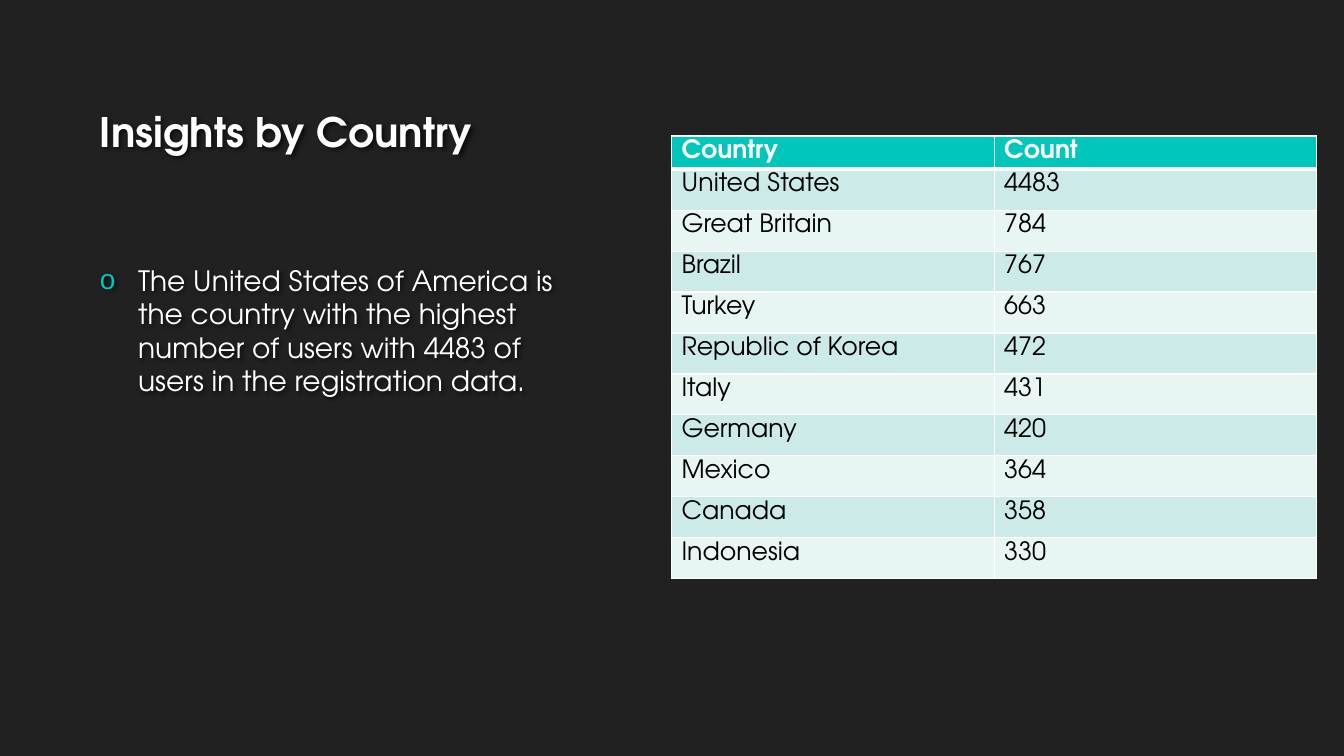
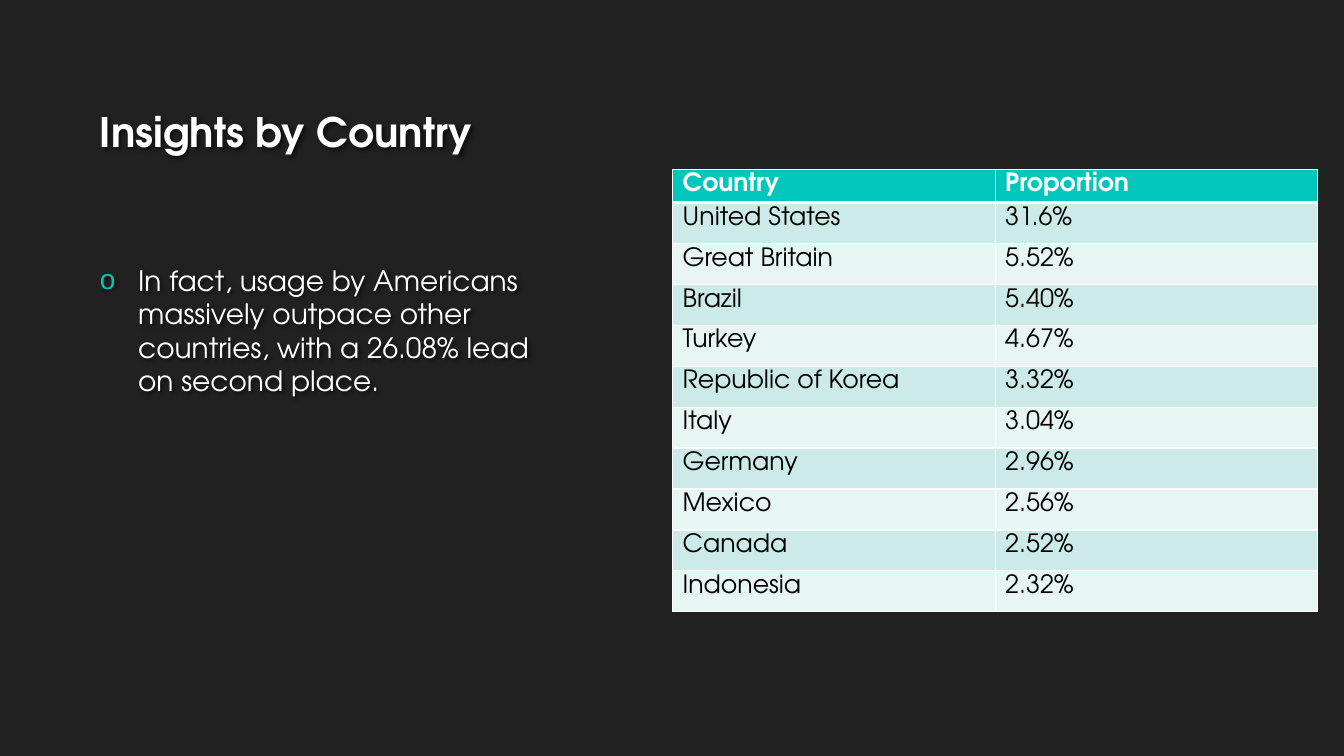
"""Build two slides that rank countries by registered users."""
from dataclasses import dataclass

from lxml.etree import SubElement
from pptx import Presentation
from pptx.dml.color import RGBColor
from pptx.enum.text import MSO_ANCHOR as Anchor, MSO_AUTO_SIZE as AutoSize, PP_ALIGN as Align
from pptx.oxml.ns import qn
from pptx.presentation import Presentation as Deck
from pptx.shapes.placeholder import SlidePlaceholder as Placeholder
from pptx.slide import Slide
from pptx.table import _Cell as Cell
from pptx.text.text import _Paragraph as Paragraph
from pptx.util import Inches, Pt

DARK = RGBColor(0x21, 0x21, 0x21)
OFF_WHITE = RGBColor(0xFE, 0xFE, 0xFE)
WHITE = RGBColor(0xFF, 0xFF, 0xFF)
BLACK = RGBColor(0x00, 0x00, 0x00)
TEAL = RGBColor(0x00, 0xC6, 0xBB)
BANDS = (RGBColor(0xCC, 0xEA, 0xE7), RGBColor(0xE7, 0xF5, 0xF3))

FONT = "TeX Gyre Adventor"
TITLE = "Insights by Country"
TEXT_LEFT, TEXT_WIDTH = Inches(0.89), Inches(4.88)
COLUMN_WIDTH = Inches(3.2)
HEADER_HEIGHT, ROWS_HEIGHT = Inches(0.33), Inches(4.06)
COUNTRIES = (
    "United States", "Great Britain", "Brazil", "Turkey", "Republic of Korea",
    "Italy", "Germany", "Mexico", "Canada", "Indonesia",
)


@dataclass(frozen=True)
class Insight:
    """One slide: its finding and the measure listed for each country."""

    finding: str
    measure: str
    values: tuple[str, ...]
    table_left: float
    table_top: float


INSIGHTS = (
    Insight(
        "The United States of America is the country with the highest number of users "
        "with 4483 of users in the registration data.",
        "Count",
        ("4483", "784", "767", "663", "472", "431", "420", "364", "358", "330"),
        6.66, 1.35,
    ),
    Insight(
        "In fact, usage by Americans massively outpace other countries, "
        "with a 26.08% lead on second place.",
        "Proportion",
        ("31.6%", "5.52%", "5.40%", "4.67%", "3.32%", "3.04%", "2.96%", "2.56%", "2.52%", "2.32%"),
        6.67, 1.68,
    ),
)


def style_font(para: Paragraph, size: float, color: RGBColor, bold: bool = False) -> None:
    """Set the shared typeface with the given size, colour and weight."""
    font = para.font
    font.name, font.size, font.bold = FONT, Pt(size), bold
    font.color.rgb = color


def add_shadow(box: Placeholder) -> None:
    """Give the text of an unfilled box a soft shadow."""
    effects = SubElement(box._element.spPr, qn("a:effectLst"))
    shadow = SubElement(effects, qn("a:outerShdw"), blurRad="38100", dist="25400", dir="2700000")
    color = SubElement(shadow, qn("a:srgbClr"), val=str(BLACK))
    SubElement(color, qn("a:alpha"), val="60000")


def fill_placeholder(box: Placeholder, text: str, top: float, height: float) -> Paragraph:
    """Place a placeholder in the left column and return its paragraph."""
    box.left, box.top, box.width, box.height = TEXT_LEFT, Inches(top), TEXT_WIDTH, Inches(height)
    add_shadow(box)
    frame = box.text_frame
    frame.text = text
    frame.word_wrap = True
    frame.auto_size = AutoSize.NONE
    para = frame.paragraphs[0]
    para.alignment = Align.LEFT
    return para


def add_title(page: Slide) -> None:
    """Write the shared title in the upper part of the left column."""
    box = page.shapes.title
    para = fill_placeholder(box, TITLE, 0.8, 1.77)
    style_font(para, 29, OFF_WHITE, bold=True)
    box.text_frame.vertical_anchor = Anchor.BOTTOM
    box.text_frame.margin_bottom = Inches(1.03)


def add_finding(page: Slide, finding: str) -> None:
    """Write the finding as a bulleted paragraph."""
    para = fill_placeholder(page.placeholders[1], finding, 2.56, 3.85)
    para.space_after = Pt(6)
    style_font(para, 20, WHITE)
    properties = para._p.get_or_add_pPr()
    properties.set("marL", str(Inches(0.38)))
    properties.set("indent", str(Inches(-0.38)))
    defaults = properties.find(qn("a:defRPr"))
    bullet_color = SubElement(properties, qn("a:buClr"))
    SubElement(bullet_color, qn("a:srgbClr"), val=str(TEAL))
    SubElement(properties, qn("a:buChar"), char="o")
    properties.append(defaults)


def add_borders(cell: Cell, top: float, bottom: float) -> None:
    """Draw white cell borders with the given top and bottom widths."""
    for side, width in (("L", 1), ("R", 1), ("T", top), ("B", bottom)):
        line = SubElement(cell._tc.get_or_add_tcPr(), qn(f"a:ln{side}"), w=str(Pt(width)))
        fill = SubElement(line, qn("a:solidFill"))
        SubElement(fill, qn("a:srgbClr"), val=str(WHITE))


def fill_cell(cell: Cell, text: str, row: int) -> None:
    """Write one cell, styled as header or as banded row."""
    is_header = row == 0
    cell.text = text
    cell.vertical_anchor = Anchor.TOP
    cell.margin_top, cell.margin_bottom = Inches(0.04), 0
    add_borders(cell, top=3 if row == 1 else 1, bottom=3 if is_header else 1)
    cell.fill.solid()
    cell.fill.fore_color.rgb = TEAL if is_header else BANDS[(row - 1) % 2]
    style_font(cell.text_frame.paragraphs[0], 18, WHITE if is_header else BLACK, bold=is_header)


def add_ranking(page: Slide, insight: Insight) -> None:
    """Add the table of countries and their values."""
    lines = [("Country", insight.measure), *zip(COUNTRIES, insight.values)]
    table = page.shapes.add_table(
        len(lines), 2, Inches(insight.table_left), Inches(insight.table_top),
        COLUMN_WIDTH * 2, HEADER_HEIGHT + ROWS_HEIGHT,
    ).table
    for column in table.columns:
        column.width = COLUMN_WIDTH
    for row, texts in enumerate(lines):
        table.rows[row].height = ROWS_HEIGHT // len(COUNTRIES) if row else HEADER_HEIGHT
        for column, text in enumerate(texts):
            fill_cell(table.cell(row, column), text, row)


def add_insight(deck: Deck, insight: Insight) -> None:
    """Add one slide with title, finding and ranking."""
    page = deck.slides.add_slide(deck.slide_layouts[1])
    add_title(page)
    add_finding(page, insight.finding)
    add_ranking(page, insight)


def main() -> None:
    """Build and save the deck."""
    deck = Presentation()
    deck.slide_width, deck.slide_height = Inches(13.33), Inches(7.5)
    background = deck.slide_master.background.fill
    background.solid()
    background.fore_color.rgb = DARK
    for insight in INSIGHTS:
        add_insight(deck, insight)
    deck.save("out.pptx")


if __name__ == "__main__":
    main()
